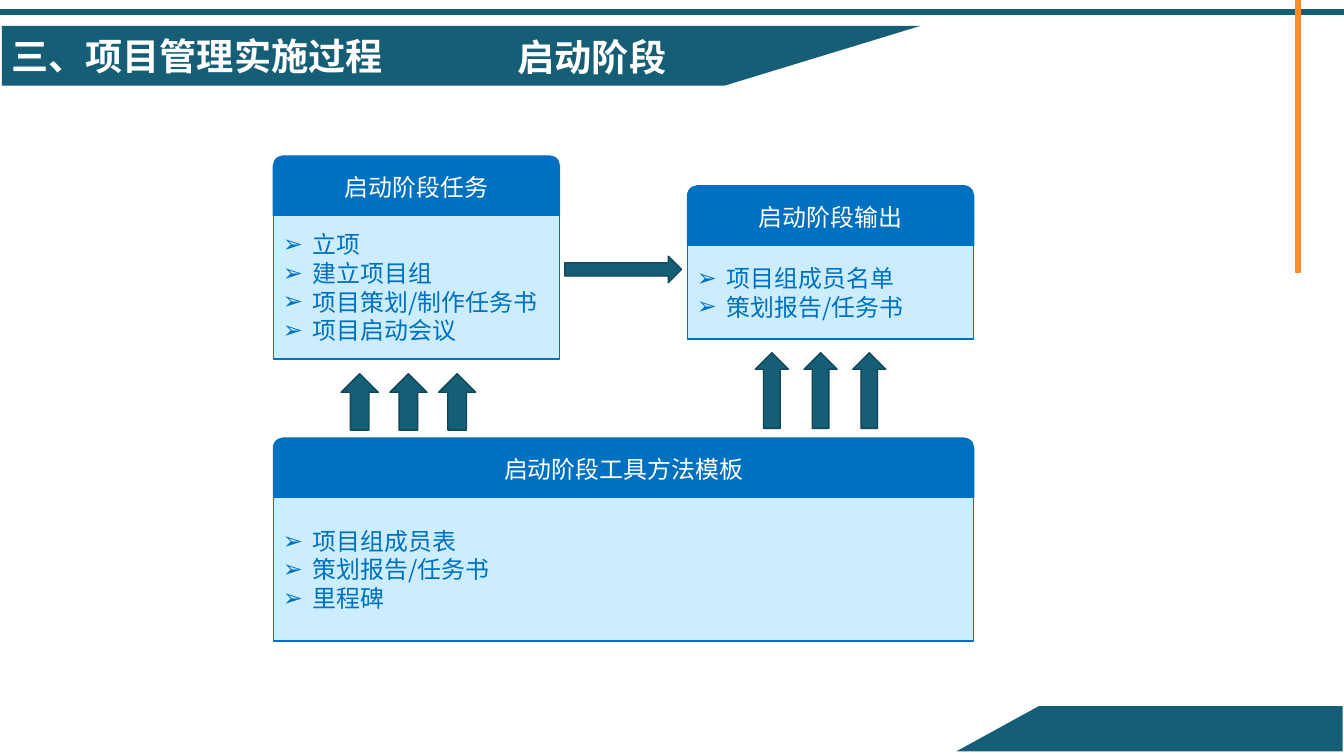
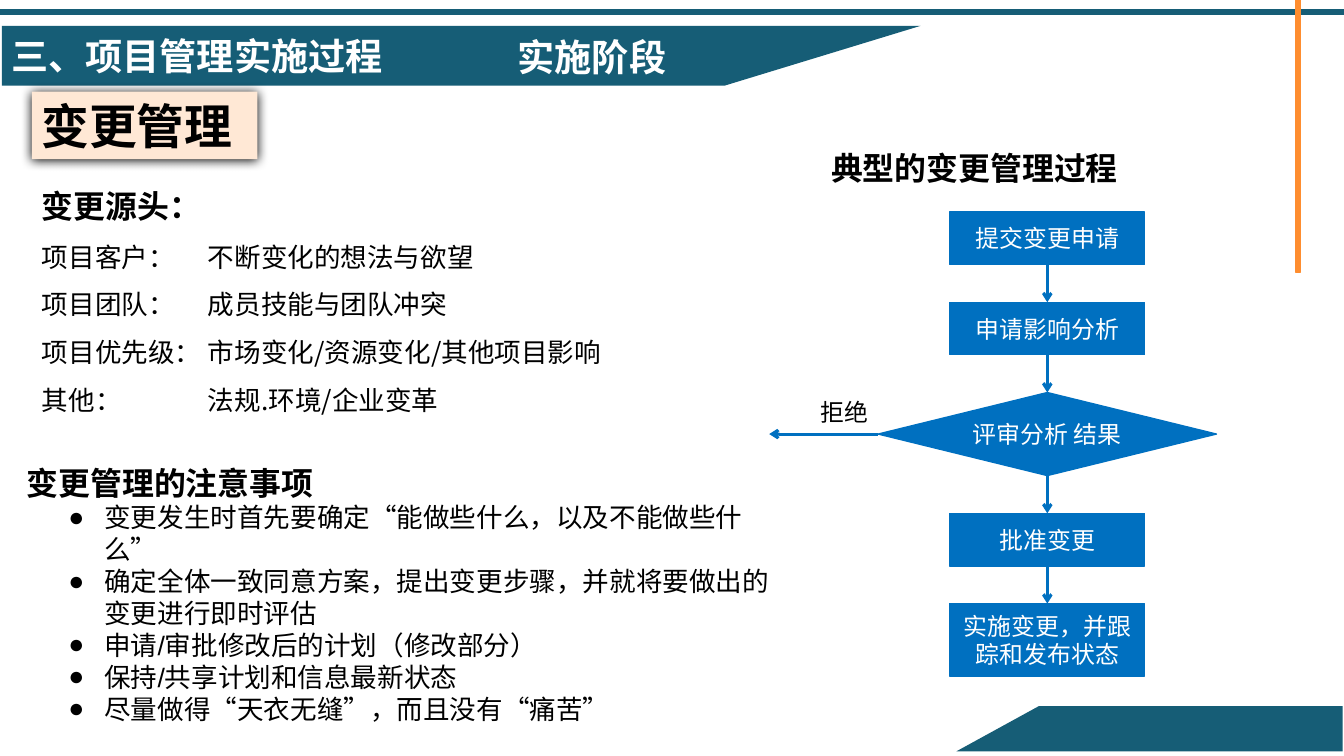
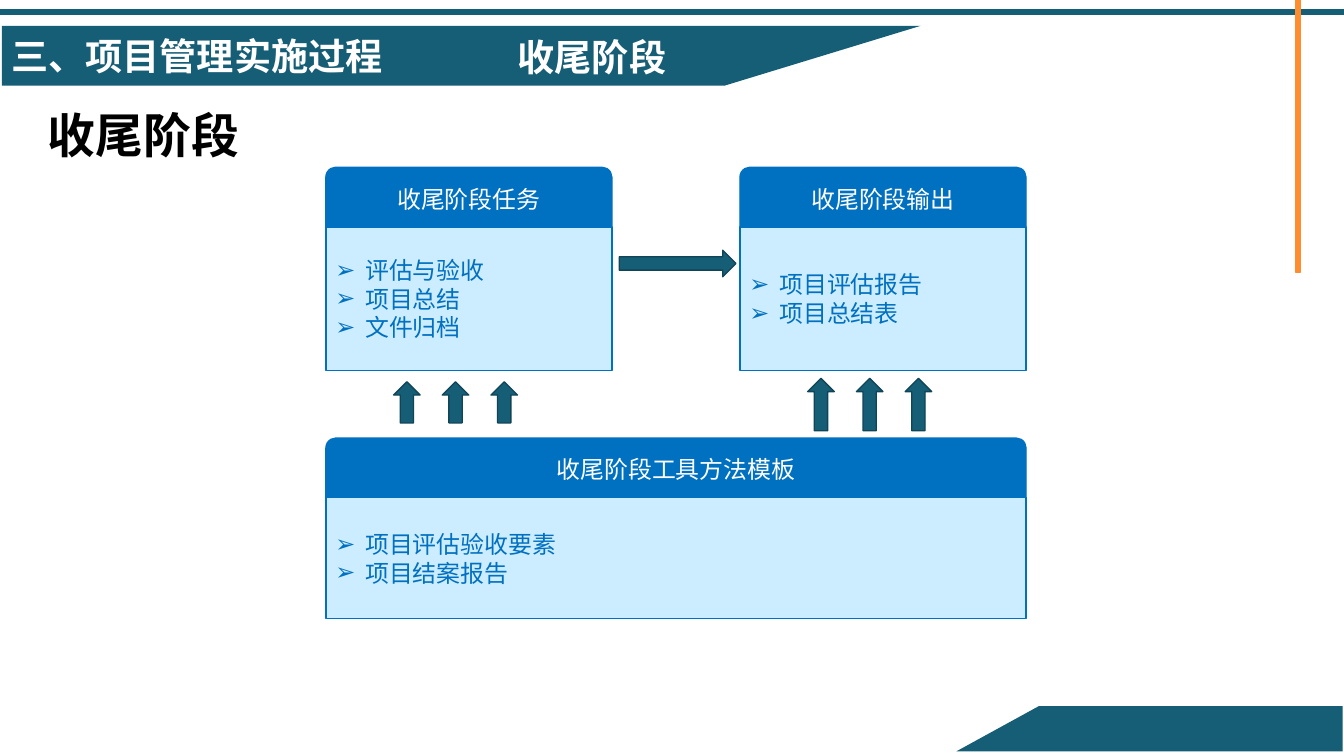
import pptx
import pptx.dml.color
import pptx.enum.shapes
import pptx.enum.text
import pptx.oxml
import pptx.oxml.ns
import pptx.util

Pt = pptx.util.Pt
SHAPE = pptx.enum.shapes.MSO_SHAPE
ALIGN = pptx.enum.text.PP_ALIGN
ANCHOR = pptx.enum.text.MSO_ANCHOR

WIDTH, HEIGHT = 1012.5, 569.5
TEAL, TEAL_EDGE, ORANGE = "165D76", "104557", "FE8D2F"
BLUE, PALE_BLUE, PEACH = "0070C0", "CCECFF", "FFE8D5"
WHITE, BLACK = "FFFFFF", "000000"
CJK = "Noto Sans CJK SC"
LINE_PITCH = 1.2
CAP_HEIGHT = 45


def rgb(value):
    """Turn a hex string into a colour."""
    return pptx.dml.color.RGBColor.from_string(value)


def add_xml(parent, tag, children="", **attributes):
    """Append a DrawingML element to a parent and return it."""
    listed = " ".join(f'{key}="{value}"' for key, value in attributes.items())
    namespace = pptx.oxml.ns.nsdecls("a")
    element = pptx.oxml.parse_xml(f"<a:{tag} {namespace} {listed}>{children}</a:{tag}>")
    parent.append(element)
    return element


def paint(shape, fill, edge=None):
    """Give a shape a flat fill and a one-point outline or none."""
    shape.shadow.inherit = False
    shape.fill.solid()
    shape.fill.fore_color.rgb = rgb(fill)
    if edge:
        shape.line.color.rgb = rgb(edge)
        shape.line.width = Pt(1)
    else:
        shape.line.fill.background()
    return shape


def block(slide, preset, box, fill, edge=None):
    """Add a painted preset shape in a box of points."""
    return paint(slide.shapes.add_shape(preset, *map(Pt, box)), fill, edge)


def outline(slide, points, fill):
    """Add a painted polygon through the given points."""
    corners = [(Pt(x), Pt(y)) for x, y in points]
    builder = slide.shapes.build_freeform(*corners[0], scale=1.0)
    builder.add_line_segments(corners[1:], close=True)
    return paint(builder.convert_to_shape(), fill)


def write(shape, *lines, size=18, color=BLACK, bold=False, font=CJK, align=ALIGN.LEFT,
          anchor=ANCHOR.TOP, spacing=1, bullet=None, indent=0, hang=0, tab=None):
    """Append lines of text in one format to a shape."""
    frame = shape.text_frame
    frame.word_wrap = True
    frame.vertical_anchor = anchor
    for line in lines:
        paragraph = frame.paragraphs[0]
        if paragraph.runs:
            paragraph = frame.add_paragraph()
        properties = paragraph._p.get_or_add_pPr()
        if bullet:
            properties.set("marL", str(Pt(indent)))
            properties.set("indent", str(-Pt(hang)))
            add_xml(properties, "buFont", typeface="Arial")
            add_xml(properties, "buChar", char=bullet)
        if tab:
            add_xml(properties, "tabLst", f'<a:tab pos="{Pt(tab)}" algn="l"/>')
        paragraph.alignment = align
        paragraph.line_spacing = Pt(round(size * LINE_PITCH * spacing, 2))
        run = paragraph.add_run()
        run.text = line
        run.font.size = Pt(size)
        run.font.bold = bold
        run.font.color.rgb = rgb(color)
        run.font.name = font
        add_xml(run._r.get_or_add_rPr(), "ea", typeface=CJK)


def label(slide, box, text, **style):
    """Add a text box with one line."""
    area = slide.shapes.add_textbox(*map(Pt, box))
    write(area, text, **style)


def arrow_line(slide, start, end, source, source_site, target=None):
    """Draw a blue arrow from a shape's side, joined to a target's top if given."""
    line = slide.shapes.add_connector(
        pptx.enum.shapes.MSO_CONNECTOR.STRAIGHT, *map(Pt, (*start, *end)))
    line.begin_connect(source, source_site)
    if target is not None:
        line.end_connect(target, 0)
    line.line.color.rgb = rgb(BLUE)
    line.line.width = Pt(2.25)
    add_xml(line.line._get_or_add_ln(), "tailEnd", type="arrow")
    add_xml(line._element.spPr, "effectLst")


def stage_slide(deck, stage):
    """Add a slide with the shared bands and the header naming its stage."""
    slide = deck.slides.add_slide(deck.slide_layouts[6])
    block(slide, SHAPE.RECTANGLE, (0, 7.2, WIDTH, 3.6), TEAL, TEAL)
    for top, height in ((0, 61), (46.5, 158.5)):
        block(slide, SHAPE.RECTANGLE, (976.2, top, 3.6, height), ORANGE, ORANGE)
    outline(slide, ((1.5, 19.5), (693.5, 19.5), (546, 64.5), (1.5, 64.5)), TEAL)
    outline(slide, ((1011.5, 566), (720.5, 566), (782.5, 532), (1011.5, 532)), TEAL)
    header = dict(size=28, color=WHITE, bold=True)
    label(slide, (1.5, 21.5, 353, 42), "三、项目管理实施过程", **header)
    label(slide, (383, 22.3, 139, 41), stage, font="Calibri", **header)
    return slide


def card(slide, box, title, items):
    """Draw a titled card with a bulleted body."""
    left, top, width, height = box
    cap = block(slide, SHAPE.ROUND_2_SAME_RECTANGLE, (left, top, width, CAP_HEIGHT), BLUE, BLUE)
    write(cap, title, color=WHITE, align=ALIGN.CENTER, anchor=ANCHOR.MIDDLE)
    body = block(slide, SHAPE.RECTANGLE,
                 (left, top + CAP_HEIGHT, width, height - CAP_HEIGHT), PALE_BLUE, BLUE)
    body.text_frame.margin_right = Pt(4)
    write(body, *items, color=BLUE, anchor=ANCHOR.MIDDLE, bullet="➢", indent=22.5, hang=22.5)


def rising_arrows(slide, box, pitch=36.7):
    """Draw three up arrows, the first in the given box."""
    left, top, width, height = box
    for index in range(3):
        block(slide, SHAPE.UP_ARROW, (left + index * pitch, top, width, height), TEAL, TEAL_EDGE)


def stage_diagram(slide, left, stage, tasks, outputs, tools, flow, task_rise, output_rise):
    """Draw task, output and tool cards with arrows, relative to a left edge."""
    card_width, output_left = 215.5, left + 312
    parts = (("任务", left, card_width, tasks),
             ("输出", output_left, card_width, outputs),
             ("工具方法模板", left, output_left + card_width - left, tools))
    for name, part_left, width, (top, height, items) in parts:
        card(slide, (part_left, top, width, height), stage + name, items)
    block(slide, SHAPE.RIGHT_ARROW, (left + flow[0], flow[1], 88, 20), TEAL, TEAL_EDGE)
    for origin, (shift, *rest) in ((left, task_rise), (output_left, output_rise)):
        rising_arrows(slide, (origin + shift, *rest))


def change_sources(slide, box):
    """List where changes come from."""
    area = block(slide, SHAPE.RECTANGLE, box, WHITE)
    write(area, "变更源头：", size=24, bold=True, spacing=1.5)
    sources = (("项目客户：", "不断变化的想法与欲望"),
               ("项目团队：", "成员技能与团队冲突"),
               ("项目优先级：", "市场变化/资源变化/其他项目影响"),
               ("其他：", "法规.环境/企业变革"))
    write(area, *(f"{origin}\t{cause}" for origin, cause in sources),
          size=20, spacing=1.5, tab=125)


def change_cautions(slide, box):
    """List what to watch for in change management."""
    area = slide.shapes.add_textbox(*map(Pt, box))
    write(area, "变更管理的注意事项", size=24, bold=True, font="Arial", spacing=1.5)
    write(area,
          "变更发生时首先要确定“能做些什么，以及不能做些什么”",
          "确定全体一致同意方案，提出变更步骤，并就将要做出的变更进行即时评估",
          "申请/审批修改后的计划（修改部分）",
          "保持/共享计划和信息最新状态",
          "尽量做得“天衣无缝”，而且没有“痛苦”",
          size=20, font="Arial", bullet="●", indent=58.5, hang=27)


def change_topic(slide, box):
    """Draw the shadowed topic plate."""
    plate = block(slide, SHAPE.RECTANGLE, box, PEACH)
    effects = plate._element.spPr.find(pptx.oxml.ns.qn("a:effectLst"))
    add_xml(effects, "outerShdw", f'<a:srgbClr val="{BLACK}"/>', blurRad=Pt(8.5),
            dist=Pt(1), dir=90 * 60000, algn="t", rotWithShape=0)
    write(plate, "变更管理", size=36, bold=True)


def change_process(slide, left, top):
    """Draw the change process as a flow below its heading."""
    label(slide, (left, top, 233, 36), "典型的变更管理过程", size=24, bold=True)
    middle, gap = left + 170, 28.4
    step, decision = (SHAPE.RECTANGLE, 147, 39.6), (SHAPE.FLOWCHART_DECISION, 255, 62.6)
    stages = (("提交变更申请", step), ("申请影响分析", step), ("评审分析 结果", decision),
              ("批准变更", step), ("实施变更，并跟踪和发布状态", (SHAPE.RECTANGLE, 147, 54.7)))
    stage_top, previous = top + 51, None
    for text, (preset, width, height) in stages:
        box = (middle - width / 2, stage_top, width, height)
        current = block(slide, preset, box, BLUE, BLUE)
        write(current, text, color=WHITE, align=ALIGN.CENTER, anchor=ANCHOR.MIDDLE)
        if previous is not None:
            arrow_line(slide, (middle, stage_top - gap), (middle, stage_top),
                       previous, 2, current)
        if preset == SHAPE.FLOWCHART_DECISION:
            level = stage_top + height / 2
            arrow_line(slide, (box[0], level), (left - 39.5, level), current, 1)
            label(slide, (left - 8, stage_top, 54, 29), "拒绝")
        previous = current
        stage_top += height + gap


def start_slide(deck):
    """Build the slide on the starting stage."""
    slide = stage_slide(deck, "启动阶段")
    stage_diagram(
        slide, 206, "启动阶段",
        tasks=(117.5, 153, ("立项", "建立项目组", "项目策划/制作任务书", "项目启动会议")),
        outputs=(140, 115.5, ("项目组成员名单", "策划报告/任务书")),
        tools=(330, 153, ("项目组成员表", "策划报告/任务书", "里程碑")),
        flow=(219.5, 193), task_rise=(51, 281.5, 28, 42.5), output_rise=(51, 265.7, 25, 57))


def change_slide(deck):
    """Build the slide on change management."""
    slide = stage_slide(deck, "实施阶段")
    change_sources(slide, (24.5, 122.5, 441.5, 196.5))
    change_process(slide, 619, 108.7)
    change_topic(slide, (24, 69, 170, 51))
    change_cautions(slide, (13, 331, 581, 196.5))


def closing_slide(deck):
    """Build the slide on the closing stage."""
    slide = stage_slide(deck, "收尾阶段")
    stage_diagram(
        slide, 245.5, "收尾阶段",
        tasks=(126, 153, ("评估与验收", "项目总结", "文件归档")),
        outputs=(126, 153, ("项目评估报告", "项目总结表")),
        tools=(330, 136, ("项目评估验收要素", "项目结案报告")),
        flow=(221, 188.5), task_rise=(51, 287.6, 20, 31), output_rise=(51, 285, 20, 39.5))
    label(slide, (29, 80.6, 205, 45), "收尾阶段", size=36, bold=True,
          font="Calibri", spacing=0.9)


def main():
    """Build and save the deck."""
    deck = pptx.Presentation()
    deck.slide_width, deck.slide_height = Pt(WIDTH), Pt(HEIGHT)
    for build in (start_slide, change_slide, closing_slide):
        build(deck)
    deck.save("out.pptx")


if __name__ == "__main__":
    main()
